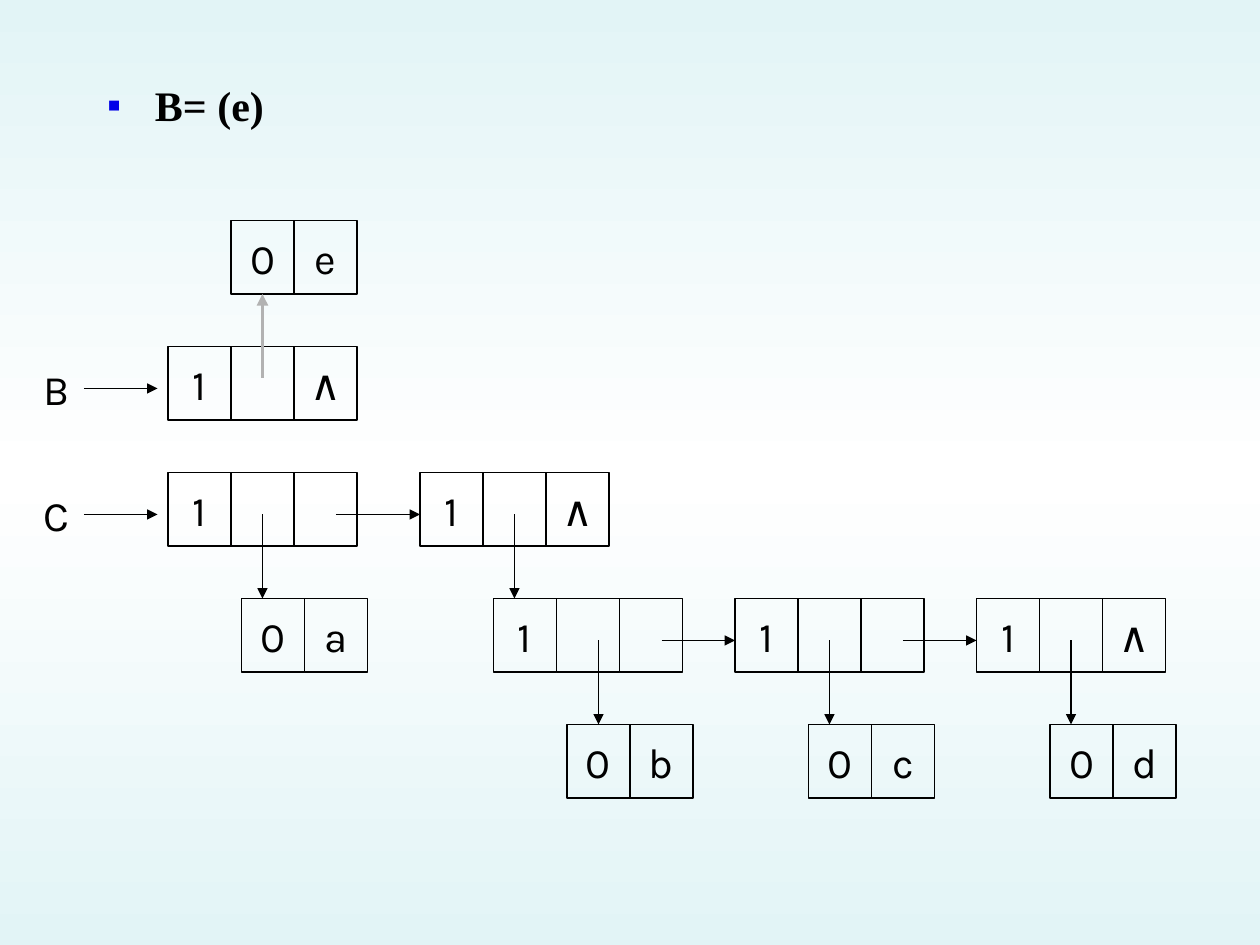
"""Build a slide showing the linked storage of generalized lists B and C."""
from copy import deepcopy

from lxml.etree import SubElement
from pptx import Presentation
from pptx.dml.color import RGBColor
from pptx.enum.shapes import MSO_CONNECTOR, MSO_SHAPE
from pptx.enum.text import MSO_ANCHOR, PP_ALIGN
from pptx.oxml.ns import qn
from pptx.util import Inches, Pt

HEADING = "B= (e)"
NODES = {
    "C1": (16, 45, ["1", "", ""]),
    "a": (23, 57, ["0", "a"]),
    "C2": (40, 45, ["1", "", "∧"]),
    "D1": (47, 57, ["1", "", ""]),
    "b": (54, 69, ["0", "b"]),
    "D2": (70, 57, ["1", "", ""]),
    "c": (77, 69, ["0", "c"]),
    "D3": (93, 57, ["1", "", "∧"]),
    "d": (100, 69, ["0", "d"]),
    "B1": (16, 33, ["1", "", "∧"]),
    "e": (22, 21, ["0", "e"]),
}
LIST_HEADS = {"C": "C1", "B": "B1"}
NEXT_LINKS = [("C1", "C2"), ("D1", "D2"), ("D2", "D3")]
DOWN_LINKS = [("C1", "a"), ("C2", "D1"), ("D2", "c"), ("D3", "d")]
CENTRED_DOWN_LINK = ("D1", "b")
UP_LINK = ("B1", "e")
CELL_WIDTH, CELL_HEIGHT, ARROW_DROP = 6, 7, 4
THEME = {
    "ink": RGBColor(0, 0, 0),
    "bullet": "0000E8",
    "highlight": RGBColor(0xB2, 0xB2, 0xB2),
    "background": [(0, "E2F4F6"), (0.5, "FFFFFF"), (1, "E2F4F6")],
    "heading_font": "Times New Roman",
    "cell_font": "Karla",
    "size": Pt(24),
    "thin": Pt(0.75),
    "thick": Pt(2.25),
}


def grid(steps):
    """Turn twelfths of an inch into a length."""
    return Inches(steps / 12)


def write(paragraph, text, font, bold=False):
    span = paragraph.add_run()
    span.text = text
    span.font.name = font
    span.font.size = THEME["size"]
    span.font.bold = bold
    span.font.color.rgb = THEME["ink"]


def paint_background(page):
    fill = page.background.fill
    fill.gradient()
    fill.gradient_angle = 270
    stop_list = page.element.find(".//" + qn("a:gsLst"))
    stop_list.append(deepcopy(stop_list[0]))
    for stop, (position, colour) in zip(fill.gradient_stops, THEME["background"]):
        stop.position = position
        stop.color.rgb = RGBColor.from_string(colour)


def add_heading(page):
    page.shapes.title.element.getparent().remove(page.shapes.title.element)
    box = page.placeholders[1]
    box.left, box.top, box.width, box.height = map(Inches, (0.75, 0.58, 6.88, 0.75))
    paragraph = box.text_frame.paragraphs[0]
    properties = paragraph._p.get_or_add_pPr()
    properties.set("marL", str(Inches(0.38)))
    properties.set("indent", str(-Inches(0.38)))
    SubElement(SubElement(properties, qn("a:buClr")), qn("a:srgbClr"), val=THEME["bullet"])
    SubElement(properties, qn("a:buSzPct"), val="95000")
    SubElement(properties, qn("a:buChar"), char="▪")
    paragraph.space_before = Pt(0)
    write(paragraph, HEADING, THEME["heading_font"], bold=True)


def add_cell(page, left, top, text):
    cell = page.shapes.add_shape(
        MSO_SHAPE.RECTANGLE, grid(left), grid(top), grid(CELL_WIDTH), grid(CELL_HEIGHT))
    cell.shadow.inherit = False
    cell.fill.background()
    cell.line.color.rgb = THEME["ink"]
    cell.line.width = THEME["thin"]
    if text:
        frame = cell.text_frame
        frame.word_wrap = False
        frame.vertical_anchor = MSO_ANCHOR.MIDDLE
        frame.paragraphs[0].alignment = PP_ALIGN.CENTER
        write(frame.paragraphs[0], text, THEME["cell_font"])
    return cell


def add_node(page, left, top, texts):
    return [add_cell(page, left + column * CELL_WIDTH, top, text)
            for column, text in enumerate(texts)]


def add_arrow(page, start, end, colour=THEME["ink"], width=THEME["thin"], head="a:tailEnd"):
    arrow = page.shapes.add_connector(MSO_CONNECTOR.STRAIGHT, *map(grid, start + end))
    arrow.line.color.rgb = colour
    arrow.line.width = width
    SubElement(arrow.line._get_or_add_ln(), qn(head), type="triangle")
    SubElement(arrow._element.spPr, qn("a:effectLst"))
    return arrow


def add_list_head(page, name, node):
    top = NODES[node][1]
    box = page.shapes.add_textbox(grid(3), grid(top + 1), grid(5), Inches(0.5))
    box.text_frame.word_wrap = True
    write(box.text_frame.paragraphs[0], name, THEME["cell_font"])
    add_arrow(page, (8, top + ARROW_DROP), (15, top + ARROW_DROP))


def add_links(page, cells):
    for source, target in NEXT_LINKS:
        left, top, _ = NODES[source]
        level = top + ARROW_DROP
        add_arrow(page, (left + 16, level), (NODES[target][0], level))
    for source, target in DOWN_LINKS:
        left, top, _ = NODES[source]
        add_arrow(page, (left + 9, top + ARROW_DROP), (left + 9, NODES[target][1]))

    source, target = CENTRED_DOWN_LINK
    left, top, _ = NODES[target]
    middle = left + CELL_WIDTH / 2
    arrow = add_arrow(page, (middle, NODES[source][1] + ARROW_DROP), (middle, top))
    arrow.end_connect(cells[target][0], 0)

    source, target = UP_LINK
    left, top, _ = NODES[target]
    middle = left + CELL_WIDTH / 2
    arrow = add_arrow(page, (middle, top + CELL_HEIGHT), (middle, NODES[source][1] + 3),
                      THEME["highlight"], THEME["thick"], "a:headEnd")
    arrow.begin_connect(cells[target][0], 2)


def main():
    deck = Presentation()
    deck.slide_width, deck.slide_height = Inches(10), Inches(7.5)
    page = deck.slides.add_slide(deck.slide_layouts[1])
    paint_background(page)
    add_heading(page)
    cells = {name: add_node(page, *node) for name, node in NODES.items()}
    for name, node in LIST_HEADS.items():
        add_list_head(page, name, node)
    add_links(page, cells)
    deck.save("out.pptx")


if __name__ == "__main__":
    main()
